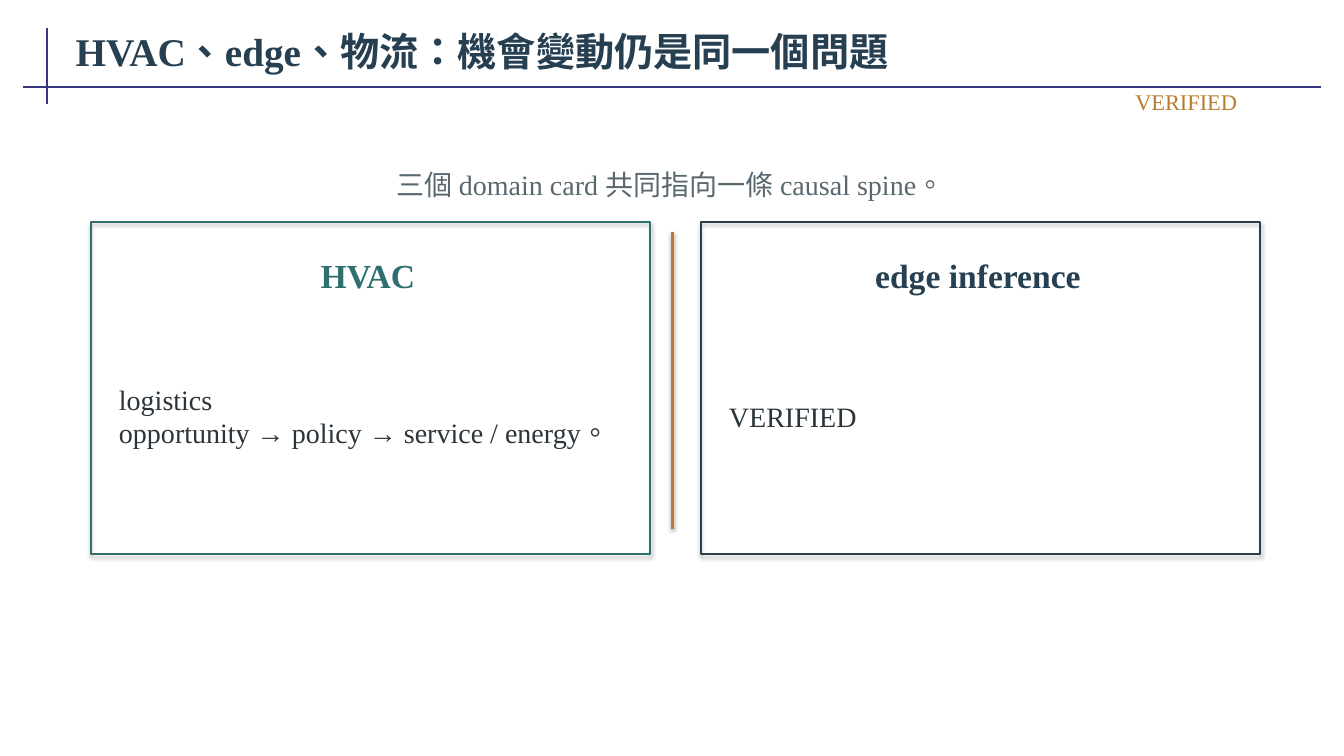
from lxml.etree import SubElement
from pptx import Presentation
from pptx.dml.color import RGBColor
from pptx.enum.shapes import MSO_CONNECTOR, MSO_SHAPE
from pptx.enum.text import MSO_ANCHOR, MSO_AUTO_SIZE, PP_ALIGN
from pptx.oxml.ns import qn
from pptx.util import Inches, Pt

FONT = "Times New Roman"
COLORS = {
    "frame": "35377F",
    "navy": "263F51",
    "teal": "2F6F70",
    "amber": "B77D2D",
    "grey": "59686F",
    "body": "2A343A",
    "shadow": "000000",
}
CARD_TOP, CARD_WIDTH, CARD_HEIGHT = 2.2, 5.55, 3.3
CARD_LEFT, CARD_STEP = 0.9, 6.05
CARDS = [
    ("HVAC", "logistics\nopportunity → policy → service / energy。", "teal"),
    ("edge inference", "VERIFIED", "navy"),
]


def color(name):
    return RGBColor.from_string(COLORS[name])


def set_text(holder, text, size=20, ink="body", bold=False, align=PP_ALIGN.LEFT):
    frame = holder.text_frame
    frame.word_wrap = True
    frame.auto_size = MSO_AUTO_SIZE.NONE
    frame.vertical_anchor = MSO_ANCHOR.MIDDLE
    frame.margin_left = frame.margin_right = Inches(0.08)
    frame.margin_top = frame.margin_bottom = Inches(0.04)
    paragraph = frame.paragraphs[0]
    paragraph.text = text
    paragraph.alignment = align
    for run in paragraph.runs:
        run.font.name = FONT
        run.font.size = Pt(size)
        run.font.bold = bold
        run.font.color.rgb = color(ink)
        run.font._element.set("lang", "zh-TW")


def add_label(slide, box, text, **text_format):
    label = slide.shapes.add_textbox(*map(Inches, box))
    set_text(label, text, **text_format)


def set_shadow(element, opacity=0, distance=0):
    """Give a soft downward shadow, or none when opacity is zero."""
    effects = SubElement(element.spPr, qn("a:effectLst"))
    if opacity:
        shadow = SubElement(effects, qn("a:outerShdw"), blurRad=str(Pt(3.1)),
                            dist=str(Pt(distance)), dir="5400000", rotWithShape="0")
        tint = SubElement(shadow, qn("a:srgbClr"), val=COLORS["shadow"])
        SubElement(tint, qn("a:alpha"), val=str(opacity * 1000))


def add_rule(slide, start, end, ink, width=1.5, **shadow):
    rule = slide.shapes.add_connector(MSO_CONNECTOR.STRAIGHT, *map(Inches, start + end))
    rule.line.color.rgb = color(ink)
    rule.line.width = Pt(width)
    set_shadow(rule._element, **shadow)


def add_card(slide, left, heading, body, ink):
    card = slide.shapes.add_shape(
        MSO_SHAPE.RECTANGLE,
        *map(Inches, (left, CARD_TOP, CARD_WIDTH, CARD_HEIGHT)))
    card.fill.background()
    card.line.color.rgb = color(ink)
    card.line.width = Pt(1.2)
    set_shadow(card._element, opacity=35, distance=1.8)
    add_label(slide, (left + 0.15, CARD_TOP + 0.2, 5.2, 0.65), heading,
              size=24, ink=ink, bold=True, align=PP_ALIGN.CENTER)
    add_label(slide, (left + 0.2, CARD_TOP + 0.95, 5.1, 1.95), body)


def main():
    deck = Presentation()
    deck.slide_width, deck.slide_height = Inches(13.33), Inches(7.5)
    slide = deck.slides.add_slide(deck.slide_layouts[5])

    # Header: crossed rules and title
    add_rule(slide, (0.47, 0.28), (0.47, 1.03), "frame")
    add_rule(slide, (0.23, 0.86), (13.1, 0.86), "frame")
    title = slide.shapes.title
    title.left, title.top = Inches(0.67), Inches(0.19)
    title.width, title.height = Inches(12), Inches(0.63)
    set_text(title, "HVAC、edge、物流：機會變動仍是同一個問題",
             size=28, ink="navy", bold=True)

    # Lead sentence
    add_label(slide, (0.9, 1.55, 11.5, 0.55),
              "三個 domain card 共同指向一條 causal spine。",
              ink="grey", align=PP_ALIGN.CENTER)

    # Domain cards and the divider between them
    for index, (heading, body, ink) in enumerate(CARDS):
        add_card(slide, CARD_LEFT + index * CARD_STEP, heading, body, ink)
    add_rule(slide, (6.67, 2.3), (6.67, 5.25), "amber", width=1.8,
             opacity=38, distance=1.6)

    # Status tag
    add_label(slide, (9.15, 0.86, 3.2, 0.3), "VERIFIED",
              size=16, ink="amber", align=PP_ALIGN.RIGHT)

    deck.save("out.pptx")


if __name__ == "__main__":
    main()
